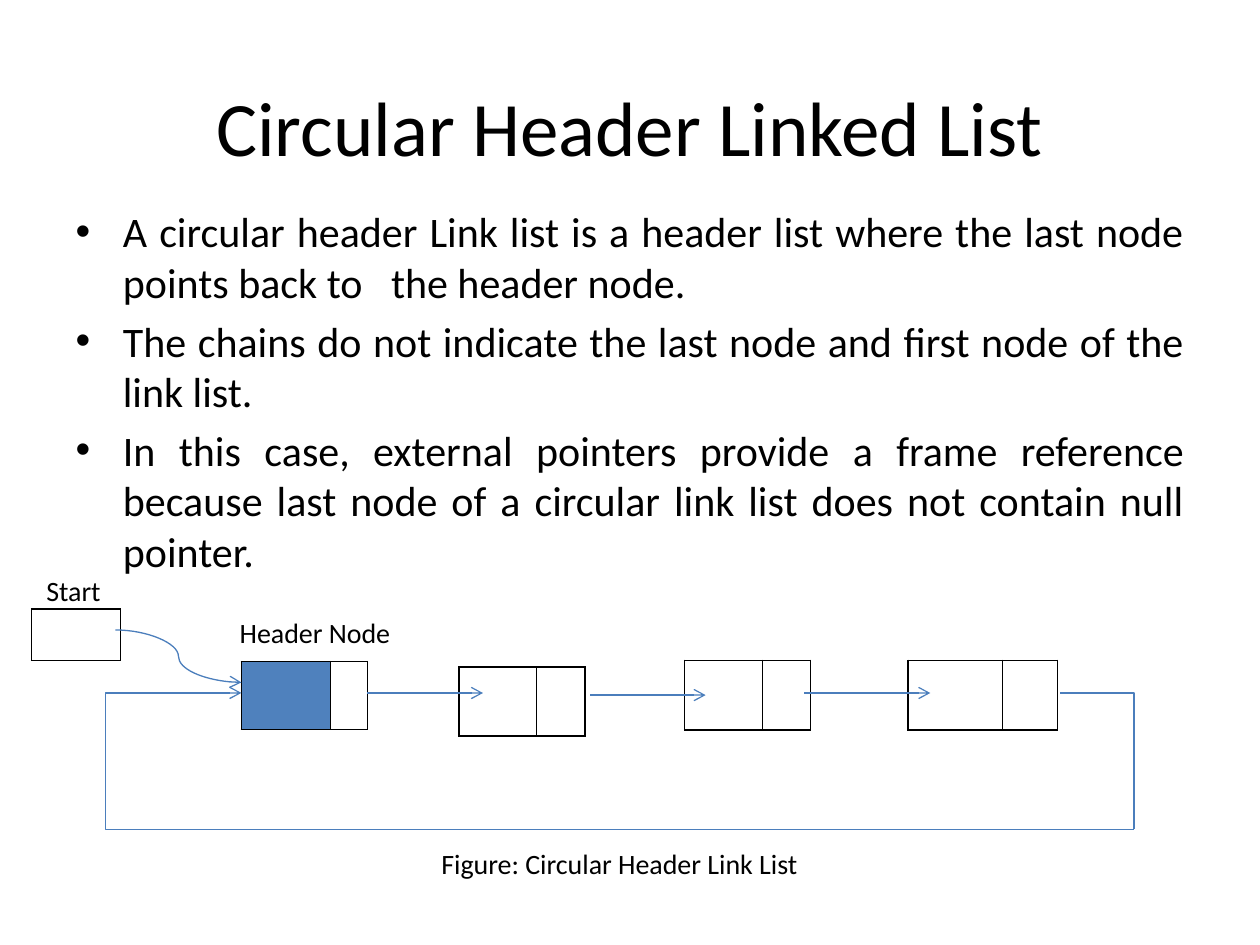
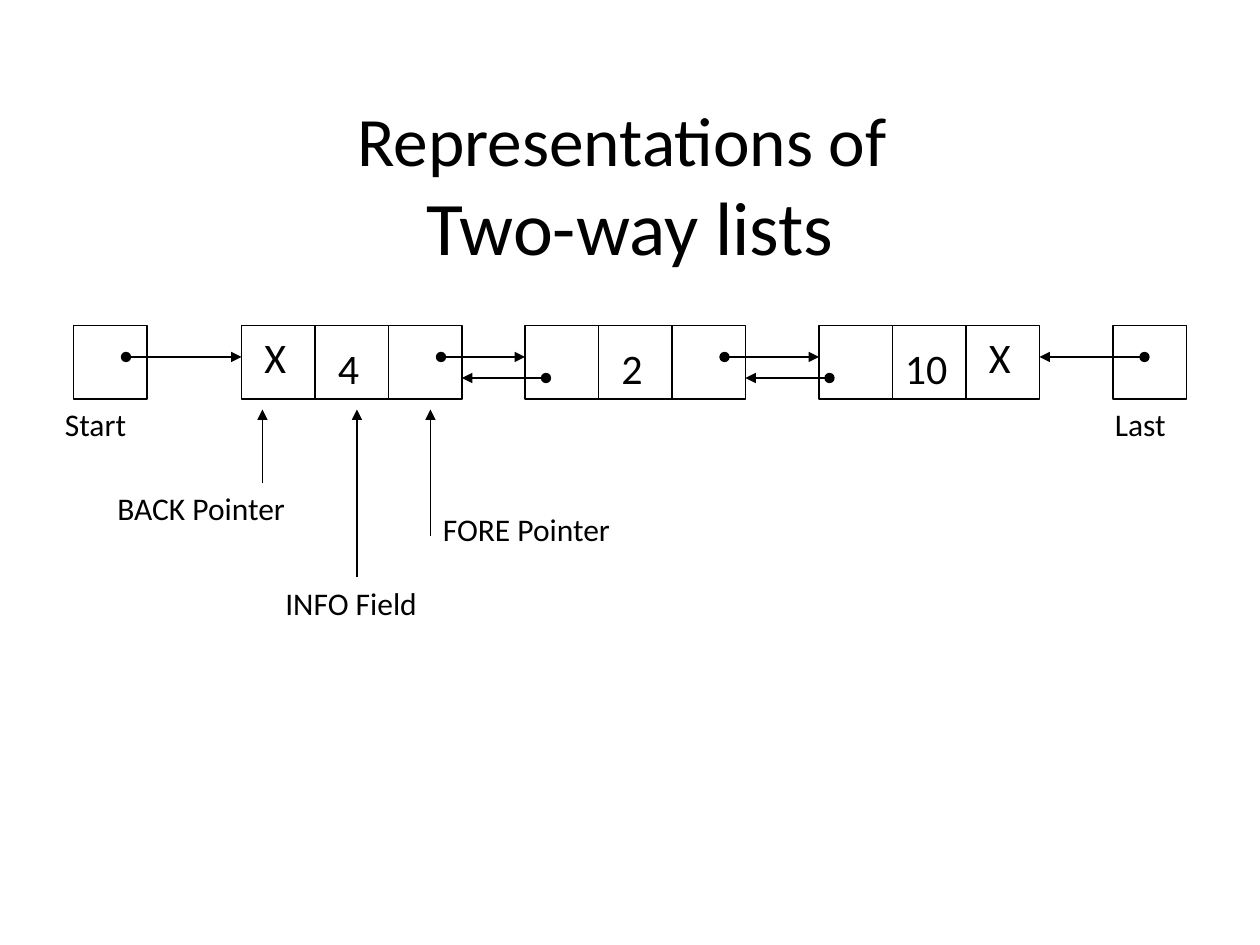
from lxml import etree
from pptx import Presentation
from pptx import util as u
from pptx.dml.color import RGBColor
from pptx.enum import shapes, text
from pptx.oxml.ns import qn

# Shared look; all positions are units of a 120 x 90 grid
COLS, ROWS = 120, 90
WIDTH, HEIGHT = u.Inches(10), u.Inches(7.5)
FONT = "Calibri"
BLACK, BLUE, LINK = "000000", "4F81BD", "4B7EBC"
LEFT, CENTER, JUSTIFY = text.PP_ALIGN.LEFT, text.PP_ALIGN.CENTER, text.PP_ALIGN.JUSTIFY
STRAIGHT, ELBOW, CURVE = (shapes.MSO_CONNECTOR.STRAIGHT, shapes.MSO_CONNECTOR.ELBOW,
                          shapes.MSO_CONNECTOR.CURVE)
CELL = 7        # side of a node field on the two-way slide
NODE_TOP = 31


def color(hex_string):
    return RGBColor.from_string(hex_string)


def gx(n):
    return round(WIDTH * n / COLS)


def gy(n):
    return round(HEIGHT * n / ROWS)


def box(x, y, w, h):
    return gx(x), gy(y), gx(w), gy(h)


def add_run(p, words, size):
    r = p.add_run()
    r.text = words
    r.font.name, r.font.size = FONT, u.Pt(size)
    r.font.color.rgb = color(BLACK)


def place(sp, x, y, w, h):
    sp.left, sp.top, sp.width, sp.height = box(x, y, w, h)
    sp.text_frame.auto_size = text.MSO_AUTO_SIZE.NONE
    return sp.text_frame


def add_title(s, area, lines):
    """Fill the title with (words, size) lines."""
    tf = place(s.shapes.title, *area)
    tf.vertical_anchor = text.MSO_ANCHOR.MIDDLE
    p = tf.paragraphs[0]
    p.alignment = CENTER
    for i, (words, size) in enumerate(lines):
        if i:
            p.add_line_break()
        add_run(p, words, size)


def add_bullets(s, area, items, size):
    tf = place(s.placeholders[1], *area)
    for i, words in enumerate(items):
        p = tf.add_paragraph() if i else tf.paragraphs[0]
        p.alignment = JUSTIFY
        add_run(p, words, size)


def add_label(s, words, x, y, w, h, size, align=LEFT, wrap=False):
    tf = s.shapes.add_textbox(*box(x, y, w, h)).text_frame
    tf.word_wrap = wrap
    p = tf.paragraphs[0]
    p.alignment = align
    add_run(p, words, size)


def add_cell(s, x):
    sp = s.shapes.add_shape(shapes.MSO_SHAPE.RECTANGLE, *box(x, NODE_TOP, CELL, CELL))
    sp.shadow.inherit = False
    sp.fill.background()
    sp.line.color.rgb, sp.line.width = color(BLACK), u.Pt(0.75)


def add_borders(cell):
    pr = cell._tc.get_or_add_tcPr()
    for i, side in enumerate(("lnL", "lnR", "lnT", "lnB")):
        ln = etree.Element(qn("a:" + side), w=str(u.Pt(1)))
        fill = etree.SubElement(ln, qn("a:solidFill"))
        etree.SubElement(fill, qn("a:srgbClr"), val=BLACK)
        pr.insert(i, ln)


def add_node(s, x, y, widths, height, first_fill=None):
    """Draw a list node as a one-row table."""
    frame = s.shapes.add_table(1, len(widths), *box(x, y, sum(widths), height))
    table = frame.table
    table.first_row = table.horz_banding = False
    for i, w in enumerate(widths):
        table.columns[i].width = gx(w)
        cell = table.cell(0, i)
        cell.margin_top = cell.margin_bottom = 0
        if first_fill and i == 0:
            cell.fill.solid()
            cell.fill.fore_color.rgb = color(first_fill)
        else:
            cell.fill.background()
        add_borders(cell)


def add_line(s, start, end, line=BLACK, kind=STRAIGHT, head=None, tail=None, bend=None):
    c = s.shapes.add_connector(kind, gx(start[0]), gy(start[1]), gx(end[0]), gy(end[1]))
    c.line.color.rgb, c.line.width = color(line), u.Pt(0.75)
    ln = c.line._get_or_add_ln()
    for tag, tip in (("a:headEnd", head), ("a:tailEnd", tail)):
        if tip:
            etree.SubElement(ln, qn(tag), type=tip)
    pr = c._element.spPr
    etree.SubElement(pr, qn("a:effectLst"))
    if bend is not None:
        guides = pr.find(qn("a:prstGeom")).get_or_add_avLst()
        etree.SubElement(guides, qn("a:gd"), name="adj1", fmla=f"val {round(bend * 100000)}")


def circular_slide(prs):
    s = prs.slides.add_slide(prs.slide_layouts[1])
    add_title(s, (6, 6, 108, 12), [("Circular Header Linked List", 44)])
    add_bullets(s, (6, 19, 108, 37), [
        "A circular header Link list is a header list where the last node points back to "
        "  the header node. ",
        "The chains do not indicate the last node and first node of the link list. ",
        "In this case, external pointers provide a frame reference because last node of a "
        "circular link list does not contain null pointer.",
    ], 24)

    # Header node, list nodes and start pointer
    add_node(s, 23, 63, (8.5, 3.5), 6.5, BLUE)
    for x, y, widths in ((65.2, 62.9, (7.4, 4.6)), (86.5, 62.9, (9, 5.2)),
                         (43.7, 63.5, (7.4, 4.6))):
        add_node(s, x, y, widths, 6.6)
    add_node(s, 3, 58, (8.5,), 4.9)

    # Links between nodes, then the way back to the header
    for x1, x2, y in ((35, 46, 66), (56.2, 67.2, 66.2), (76.6, 88.6, 66)):
        add_line(s, (x1, y), (x2, y), LINK, tail="arrow")
    add_line(s, (108, 79), (23, 66), LINK, ELBOW, tail="arrow", bend=1.152)
    add_line(s, (101, 66), (108, 79), LINK, ELBOW, bend=1)
    add_line(s, (11, 60), (23, 65), LINK, CURVE, tail="arrow", bend=0.5)

    for words, x, y, w in (("Header Node", 20, 58, 20),
                           ("Figure: Circular Header Link List", 10, 80, 98),
                           ("Start", 2, 54, 10)):
        add_label(s, words, x, y, w, 4.4, 16, CENTER, True)


def two_way_slide(prs):
    s = prs.slides.add_slide(prs.slide_layouts[5])
    add_title(s, (6, 8, 108, 19), [("Representations of ", 39.6), ("Two-way lists", 43.2)])

    # Start and last pointers around three nodes of three fields
    for x in (7, 106):
        add_cell(s, x)
    for node in (23, 50, 78):
        for field in range(3):
            add_cell(s, node + field * CELL)

    # Field values
    for words, x, y, w in (("X", 24, 31, 5.1), ("4", 31, 32, 4.7), ("2", 58, 32, 4.7),
                           ("10", 85, 32, 6.8), ("X", 93, 31, 5.1)):
        add_label(s, words, x, y, w, 6, 24)

    # Pointers: forward and last on the upper level, backward on the lower
    for x1, x2, y in ((12, 23, 34), (42, 50, 34), (69, 78, 34), (109, 99, 34),
                      (52, 44, 36), (79, 71, 36)):
        add_line(s, (x1, y), (x2, y), head="oval", tail="triangle")

    # Captions and the arrows up to the fields
    for x, y in ((25, 46), (34, 55), (41, 51)):
        add_line(s, (x, y), (x, 39), tail="triangle")
    for words, x, y, w in (("Start", 5, 38, 8.8), ("Last", 105, 38, 8.2),
                           ("INFO Field", 26, 55, 17), ("BACK Pointer", 10, 46, 21.1),
                           ("FORE Pointer", 41, 48, 21.2)):
        add_label(s, words, x, y, w, 4.8, 18)


def main():
    prs = Presentation()
    prs.slide_width, prs.slide_height = WIDTH, HEIGHT
    circular_slide(prs)
    two_way_slide(prs)
    prs.save("out.pptx")


main()
